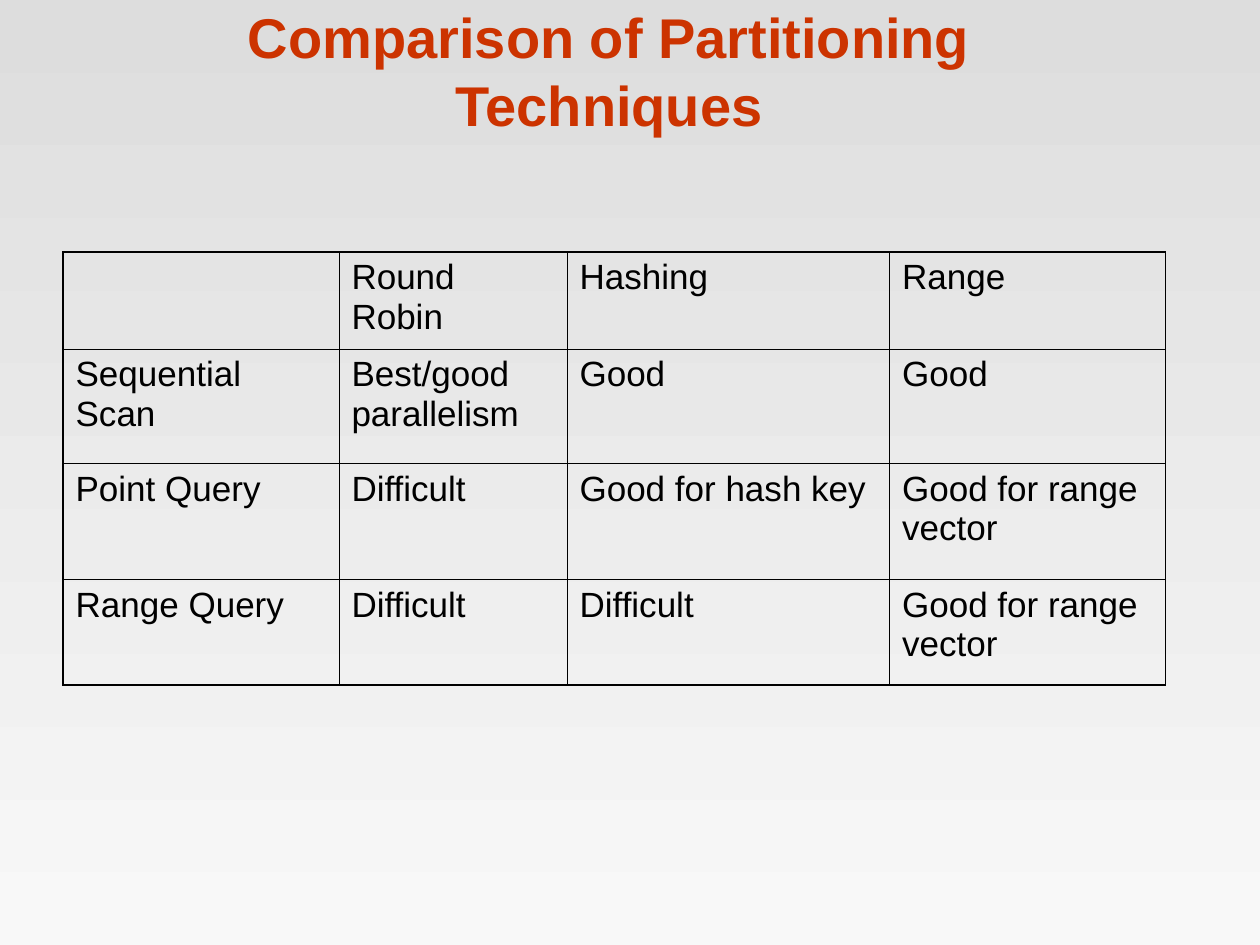
import pptx
import pptx.dml.color
import pptx.enum.text
import pptx.oxml
import pptx.oxml.ns
import pptx.util
from pptx.util import Inches

BLACK = "000000"
OUTER_LINE, INNER_LINE = 1.08, 0.45
COLUMN_WIDTHS = [2.19, 1.81, 2.56, 2.19]
ROW_HEIGHTS = [0.77, 0.91, 0.92, 0.84]
COMPARISON = [
    ["", "Round Robin", "Hashing", "Range"],
    ["Sequential Scan", "Best/good parallelism", "Good", "Good"],
    ["Point Query", "Difficult", "Good for hash key", "Good for range vector"],
    ["Range Query", "Difficult", "Difficult", "Good for range vector"],
]


def rgb(color):
    return pptx.dml.color.RGBColor.from_string(color)


def write_text(frame, text, size, color=BLACK, bold=False, align=None, space_before=0):
    frame.text = text
    paragraph = frame.paragraphs[0]
    paragraph.alignment = align
    paragraph.space_before = pptx.util.Pt(space_before)
    paragraph.font.name = "Arial"
    paragraph.font.size = pptx.util.Pt(size)
    paragraph.font.bold = bold
    paragraph.font.color.rgb = rgb(color)


def paint_background(slide, top_color, bottom_color):
    fill = slide.background.fill
    fill.gradient()
    fill.gradient_angle = 270
    for stop, color in zip(fill.gradient_stops, (top_color, bottom_color)):
        stop.color.rgb = rgb(color)


def add_title(slide, text):
    title = slide.shapes.title
    title.left, title.top = Inches(0.92), Inches(0.25)
    title.width, title.height = Inches(7.83), Inches(0.89)
    frame = title.text_frame
    frame.word_wrap = True
    frame.auto_size = pptx.enum.text.MSO_AUTO_SIZE.NONE
    frame.vertical_anchor = pptx.enum.text.MSO_ANCHOR.BOTTOM
    write_text(frame, text, 32, color="CC3300", bold=True,
               align=pptx.enum.text.PP_ALIGN.CENTER)


def add_borders(cell, outer_sides):
    """Draw all four borders, with the heavier line on the outer sides."""
    properties = cell._tc.get_or_add_tcPr()
    for side in "LRTB":
        points = OUTER_LINE if side in outer_sides else INNER_LINE
        properties.append(pptx.oxml.parse_xml(
            f'<a:ln{side} {pptx.oxml.ns.nsdecls("a")} w="{pptx.util.Pt(points)}">'
            f'<a:solidFill><a:srgbClr val="{BLACK}"/></a:solidFill></a:ln{side}>'))


def outer_sides_at(row, column):
    at_edge = {"L": column == 0, "R": column == len(COLUMN_WIDTHS) - 1,
               "T": row == 0, "B": row == len(ROW_HEIGHTS) - 1}
    return [side for side, is_outer in at_edge.items() if is_outer]


def add_comparison_table(slide):
    table = slide.shapes.add_table(
        len(ROW_HEIGHTS), len(COLUMN_WIDTHS), Inches(0.5), Inches(2),
        Inches(sum(COLUMN_WIDTHS)), Inches(sum(ROW_HEIGHTS))).table
    table.first_row = table.horz_banding = False
    for column, width in zip(table.columns, COLUMN_WIDTHS):
        column.width = Inches(width)
    for row, height in zip(table.rows, ROW_HEIGHTS):
        row.height = Inches(height)
    for row_index, texts in enumerate(COMPARISON):
        for column_index, text in enumerate(texts):
            cell = table.cell(row_index, column_index)
            write_text(cell.text_frame, text, 20, space_before=5)
            add_borders(cell, outer_sides_at(row_index, column_index))
            cell.fill.background()


def main():
    presentation = pptx.Presentation()
    presentation.slide_width, presentation.slide_height = Inches(10), Inches(7.5)
    slide = presentation.slides.add_slide(presentation.slide_layouts[5])
    paint_background(slide, "DDDDDD", "F8F8F8")
    add_title(slide, "Comparison of Partitioning Techniques")
    add_comparison_table(slide)
    presentation.save("out.pptx")


if __name__ == "__main__":
    main()
